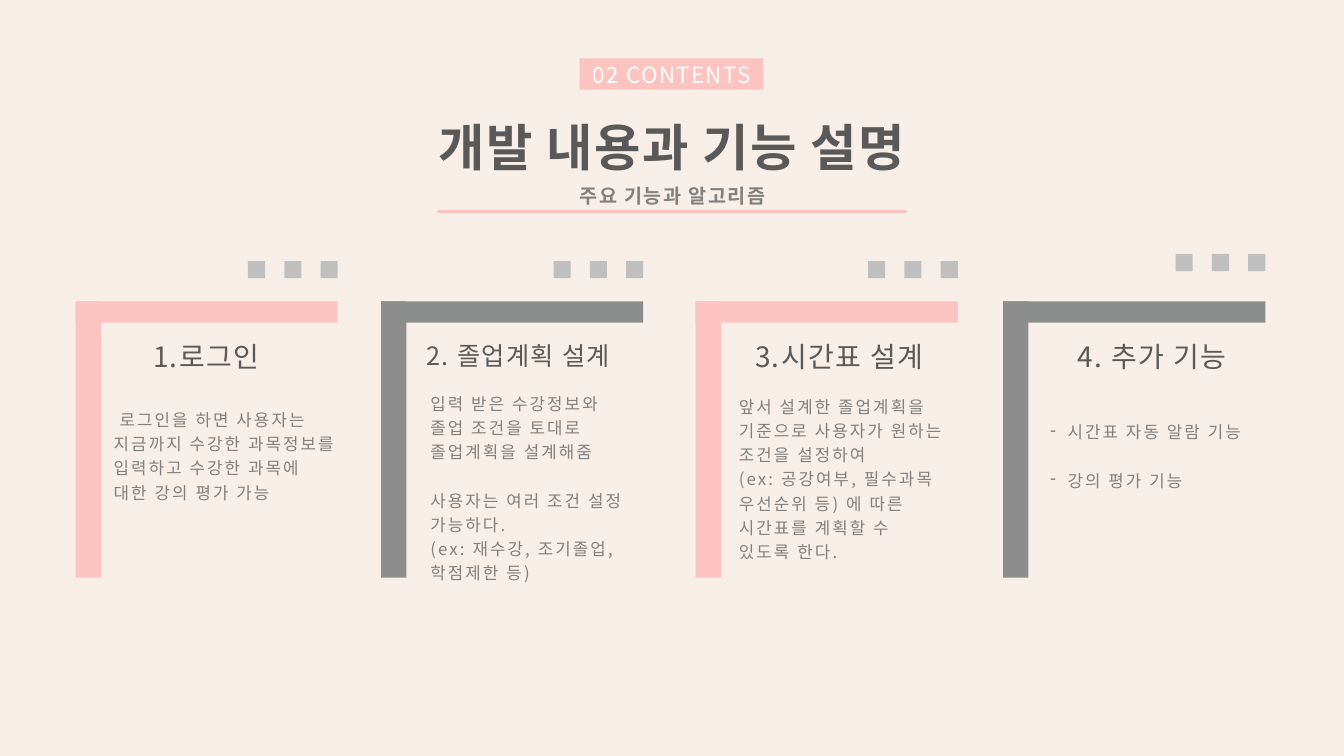
from dataclasses import dataclass

from lxml import etree
from pptx import Presentation
from pptx.dml.color import RGBColor
from pptx.enum.shapes import MSO_CONNECTOR, MSO_SHAPE
from pptx.enum.text import MSO_ANCHOR, MSO_AUTO_SIZE, PP_ALIGN
from pptx.oxml.ns import qn
from pptx.util import Inches, Pt

RECT = MSO_SHAPE.RECTANGLE
LEFT, MID = PP_ALIGN.LEFT, PP_ALIGN.CENTER


@dataclass(frozen=True)
class Theme:
    """Colours, type sizes and font of the slide."""
    font: str = "Noto Sans CJK KR"
    back: str = "F7EEE7"
    pink: str = "FCC3C0"
    gray: str = "8C8E8D"
    dot: str = "BFBFBF"
    dark: str = "595959"
    soft: str = "808080"
    white: str = "FFFFFF"
    title: int = 36
    head: int = 20
    tight: int = 18
    badge: int = 16
    sub: int = 14
    body: int = 12
    pitch: float = 17.2


T = Theme()

BADGE = "02 CONTENTS"
TITLE = "개발 내용과 기능 설명"
SUB = "주요 기능과 알고리즘"

# Each card: left edge, colour, dot top, heading (text, left, size),
# body (left, top, dashed), groups of lines
CARDS = [
    (0.75, T.pink, 2.59, ("1.로그인", 1.42, T.head), (1.03, 3.98, False),
     [[" 로그인을 하면 사용자는", "지금까지 수강한 과목정보를",
       "입력하고 수강한 과목에", "대한 강의 평가 가능"]]),
    (3.78, T.gray, 2.59, ("2. 졸업계획 설계", 4.13, T.tight), (4.17, 3.82, False),
     [["입력 받은 수강정보와", "졸업 조건을 토대로", "졸업계획을 설계해줌"],
      ["사용자는 여러 조건 설정", "가능하다.",
       "(ex: 재수강, 조기졸업,", "학점제한 등)"]]),
    (6.9, T.pink, 2.59, ("3.시간표 설계", 7.39, T.head), (7.23, 3.85, False),
     [["앞서 설계한 졸업계획을", "기준으로 사용자가 원하는",
       "조건을 설정하여", "(ex: 공강여부, 필수과목",
       "우선순위 등) 에 따른", "시간표를 계획할 수", "있도록 한다."]]),
    (9.95, T.gray, 2.52, ("4. 추가 기능", 10.59, T.head), (10.32, 4.1, True),
     [["시간표 자동 알람 기능"], ["강의 평가 기능"]]),
]

TOP, FOOT = 2.99, 5.73
BAR_W, BAR_H, POST_W = 2.6, 0.21, 0.25
DOT, STEP = 0.17, 0.36
DASH = 0.17


def block(x, y, w, h, color):
    """Add a plain filled rectangle."""
    box = slide.shapes.add_shape(RECT, Inches(x), Inches(y), Inches(w), Inches(h))
    box.shadow.inherit = False
    box.fill.solid()
    box.fill.fore_color.rgb = RGBColor.from_string(color)
    box.line.fill.background()
    return box


def style(para, size, color, align=LEFT, bold=False, gap=1):
    """Format a paragraph's runs; gap is the letter spacing in points."""
    para.alignment = align
    for run in para.runs:
        font = run.font
        font.size, font.bold, font.name = Pt(size), bold, T.font
        font.color.rgb = RGBColor.from_string(color)
        props = run._r.get_or_add_rPr()
        props.set("spc", str(int(gap * 100)))
        etree.SubElement(props, qn("a:ea")).set("typeface", T.font)


def label(shape, text, size, color, align=LEFT, bold=False):
    """Put one vertically centred line of text in a shape."""
    frame = shape.text_frame
    frame.text = text
    frame.word_wrap = True
    frame.auto_size = MSO_AUTO_SIZE.NONE
    frame.vertical_anchor = MSO_ANCHOR.MIDDLE
    frame.margin_top = frame.margin_bottom = 0
    style(frame.paragraphs[0], size, color, align, bold)


def place(x, y, w, h):
    """Add an empty text box."""
    return slide.shapes.add_textbox(Inches(x), Inches(y), Inches(w), Inches(h))


def dash(para):
    """Give a paragraph a hanging dash bullet."""
    props = para._p.get_or_add_pPr()
    props.set("marL", str(Inches(DASH)))
    props.set("indent", str(-Inches(DASH)))
    etree.SubElement(props, qn("a:buChar")).set("char", "-")


def body(x, y, dashed, groups):
    """Write groups of lines, one line's space between groups."""
    count = sum(map(len, groups)) + len(groups) - 1
    frame = place(x, y, 2.6, round(count * T.pitch / 72 + 0.1, 2)).text_frame
    frame.word_wrap = True
    frame.text = "\n".join(line for group in groups for line in group)
    paras = iter(frame.paragraphs)
    for g, group in enumerate(groups):
        for i in range(len(group)):
            para = next(paras)
            para.line_spacing = Pt(T.pitch)
            if g and i == 0:
                para.space_before = Pt(T.pitch)
            style(para, T.body, T.soft, gap=1.5)
            if dashed:
                dash(para)


def rule(x, y, end):
    """Draw the round-ended line below the subtitle."""
    line = slide.shapes.add_connector(
        MSO_CONNECTOR.STRAIGHT, Inches(x), Inches(y), Inches(end), Inches(y))
    line.line.color.rgb = RGBColor.from_string(T.pink)
    line.line.width = Pt(2.5)
    line.line._get_or_add_ln().set("cap", "rnd")
    etree.SubElement(line._element.spPr, qn("a:effectLst"))


def card(x, color, dots, head, spot, groups):
    """Draw one card: corner frame, dots, heading and body."""
    block(x, TOP, POST_W, FOOT - TOP, color)
    block(x, TOP, BAR_W, BAR_H, color)
    for k in range(3):
        block(x + BAR_W - DOT - k * STEP, dots, DOT, DOT, T.dot)
    text, left, size = head
    label(place(left, 3.31, 2.3, 0.44), text, size, T.dark)
    body(*spot, groups)


deck = Presentation()
deck.slide_width, deck.slide_height = Inches(13.33), Inches(7.5)
slide = deck.slides.add_slide(deck.slide_layouts[5])
slide.background.fill.solid()
slide.background.fill.fore_color.rgb = RGBColor.from_string(T.back)

label(block(5.75, 0.58, 1.82, 0.31, T.pink), BADGE, T.badge, T.white, MID)
title = slide.shapes.title
title.left, title.top = Inches(3.94), Inches(1.1)
title.width, title.height = Inches(5.45), Inches(0.71)
label(title, TITLE, T.title, T.dark, MID, True)
rule(4.35, 2.1, 8.98)
label(place(5.54, 1.77, 2.26, 0.34), SUB, T.sub, T.soft, MID, True)
for item in CARDS:
    card(*item)

deck.save("out.pptx")
